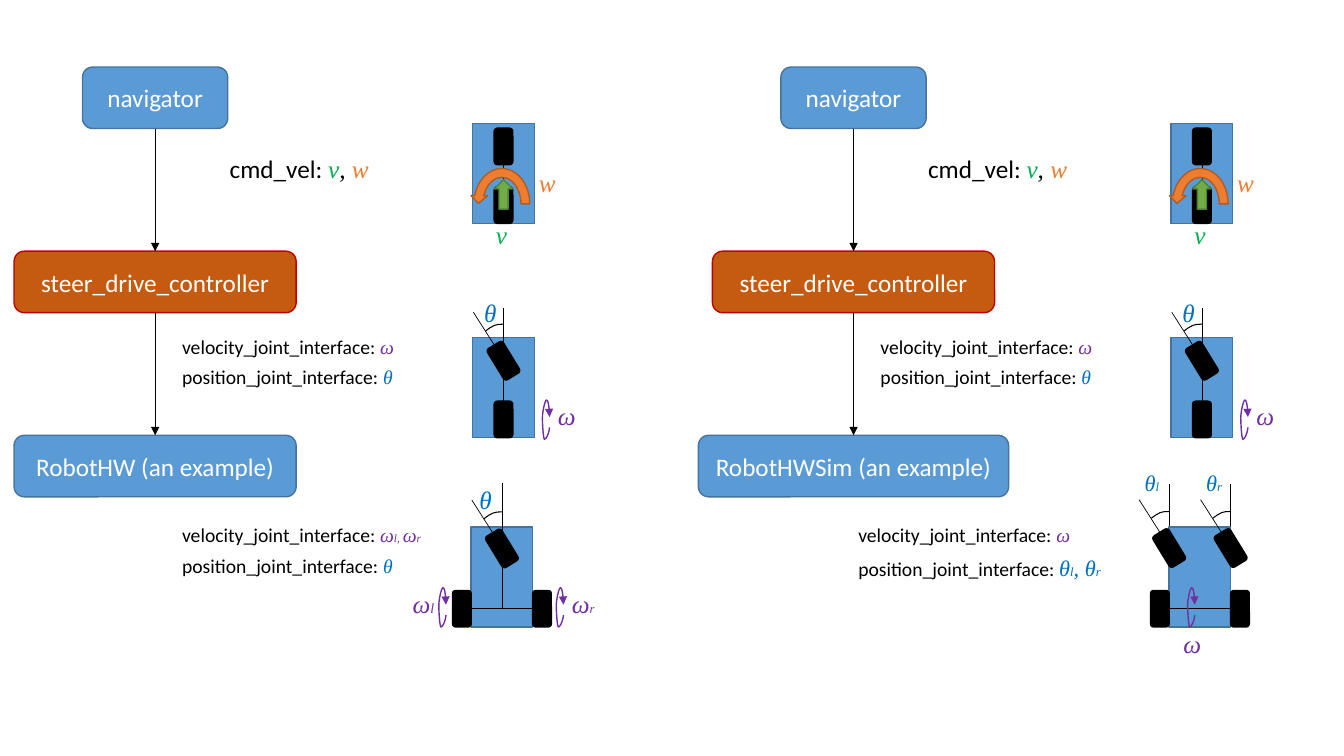
from pptx import Presentation
from pptx.dml.color import RGBColor
from pptx.enum.shapes import MSO_CONNECTOR as Connector, MSO_SHAPE as Preset
from pptx.enum.text import MSO_ANCHOR as Anchor, MSO_AUTO_SIZE as AutoSize, PP_ALIGN as Align
from pptx.oxml.ns import qn
from pptx.util import Cm, Pt
from lxml.etree import SubElement

BLACK, WHITE = RGBColor(0, 0, 0), RGBColor(255, 255, 255)
BLUE, BLUE_EDGE = RGBColor(0x5B, 0x9B, 0xD5), RGBColor(0x43, 0x73, 0x9E)
RUST, RED = RGBColor(0xC5, 0x5A, 0x11), RGBColor(0xC0, 0, 0)
ORANGE, ORANGE_EDGE = RGBColor(0xED, 0x7D, 0x31), RGBColor(0xAF, 0x5C, 0x24)
LEAF, LEAF_EDGE = RGBColor(0x70, 0xAD, 0x47), RGBColor(0x53, 0x81, 0x35)
GREEN, AZURE = RGBColor(0, 0xB0, 0x50), RGBColor(0, 0x70, 0xC0)
PURPLE = RGBColor(0x70, 0x30, 0xA0)
SANS, SERIF = "Calibri", "Times New Roman"

# All layout numbers are centimetres
COLUMN_PITCH = 17.6
STEP_TOP, STEP_PITCH, STEP_HEIGHT, STEP_CENTER = 1.69, 4.64, 1.55, 3.91
BODY_WIDTH, BODY_HEIGHT = 1.55, 2.52
WHEEL_WIDTH, WHEEL_HEIGHT, REAR_OFFSET, AXLE_OFFSET = 0.47, 0.92, 1.6, 2.06
STEER_ANGLE = 328.6

# Bezier outlines: a start point, then control, control, end for each curve
SPIN_CURVES = [(0.18, 0.69),
               (0.16, 0.88), (0.09, 0.99), (0.05, 0.99),
               (0.02, 0.94), (0, 0.61), (0, 0.45),
               (0, 0.28), (0.07, 0), (0.1, 0),
               (0.14, 0), (0.18, 0.2), (0.18, 0.43)]
ANGLE_CURVES = [(0, 0.17),
                (0.07, 0.11), (0.14, 0.07), (0.22, 0.03),
                (0.28, 0), (0.37, 0), (0.45, 0)]


def sans(text, size=14, color=BLACK):
    return text, SANS, size, color, False


def symbol(text, color, size=18):
    return text, SERIF, size, color, True


OMEGA = symbol("ω", PURPLE)
SMALL_OMEGA, SMALL_THETA = symbol("ω", PURPLE, 14), symbol("θ", AZURE, 14)


def write(frame, runs, align=Align.LEFT, anchor=Anchor.TOP, wrap=True):
    frame.word_wrap = wrap
    frame.vertical_anchor = anchor
    paragraph = frame.paragraphs[0]
    paragraph.alignment = align
    for text, font_name, size, color, italic in runs:
        run = paragraph.add_run()
        run.text = text
        run.font.name = font_name
        run.font.size = Pt(size)
        run.font.italic = italic
        run.font.color.rgb = color


def add_text(slide, left, top, width, height, runs, **text_format):
    box = slide.shapes.add_textbox(Cm(left), Cm(top), Cm(width), Cm(height))
    write(box.text_frame, runs, **text_format)
    box.text_frame.auto_size = AutoSize.SHAPE_TO_FIT_TEXT


def add_block(slide, preset, left, top, width, height, fill, edge):
    shape = slide.shapes.add_shape(preset, Cm(left), Cm(top), Cm(width), Cm(height))
    shape.shadow.inherit = False
    shape.fill.solid()
    shape.fill.fore_color.rgb = fill
    shape.line.color.rgb = edge
    shape.line.width = Pt(1)
    return shape


def add_arrowhead(shape):
    SubElement(shape.line._get_or_add_ln(), qn("a:tailEnd"), type="triangle")


def add_line(slide, x1, y1, x2, y2, arrow=False):
    line = slide.shapes.add_connector(Connector.STRAIGHT, Cm(x1), Cm(y1), Cm(x2), Cm(y2))
    line.line.color.rgb = BLACK
    line.line.width = Pt(0.5)
    SubElement(line._element.spPr, qn("a:effectLst"))
    if arrow:
        add_arrowhead(line)


def add_curve(slide, left, top, outline, color, width):
    start, *points = [(Cm(left + x), Cm(top + y)) for x, y in outline]
    builder = slide.shapes.build_freeform(*start)
    builder.add_line_segments(points, close=False)
    curve = builder.convert_to_shape()
    # Join every three straight segments into one Bezier curve
    segments = list(curve._element.spPr.iter(qn("a:lnTo")))
    for index in range(0, len(segments), 3):
        bezier = SubElement(segments[0].getparent(), qn("a:cubicBezTo"))
        for segment in segments[index:index + 3]:
            bezier.append(segment[0])
    for segment in segments:
        segment.getparent().remove(segment)
    curve.shadow.inherit = False
    curve.fill.background()
    curve.line.color.rgb = color
    curve.line.width = Pt(width)
    return curve


# Vehicle parts; center is the middle of the body or of the wheel
def add_body(slide, center, top):
    add_block(slide, Preset.RECTANGLE, center - BODY_WIDTH / 2, top,
              BODY_WIDTH, BODY_HEIGHT, BLUE, BLUE_EDGE)


def add_wheel(slide, center, top, angle=0):
    wheel = add_block(slide, Preset.ROUNDED_RECTANGLE, center - WHEEL_WIDTH / 2, top,
                      WHEEL_WIDTH, WHEEL_HEIGHT, BLACK, BLACK)
    wheel.rotation = angle


def add_steered_wheel(slide, center, top, runs, label=(-0.74, -1.27, 0.8, 1.02)):
    add_wheel(slide, center, top, STEER_ANGLE)
    add_line(slide, center - 0.76, top - 0.76, center - 0.23, top + 0.07)
    add_curve(slide, center - 0.45, top - 0.46, ANGLE_CURVES, BLACK, 0.75)
    dx, dy, width, height = label
    add_text(slide, center + dx, top + dy, width, height, runs)


def add_spin(slide, left, top, runs, dx=0.14, dy=-0.12):
    add_arrowhead(add_curve(slide, left, top, SPIN_CURVES, PURPLE, 1))
    add_text(slide, left + dx, top + dy, 0.97 if len(runs) == 1 else 1.09, 1.02,
             runs, wrap=False)


def add_rear_axle(slide, center, top):
    offset = (BODY_WIDTH + WHEEL_WIDTH) / 2
    for side in (-1, 1):
        add_wheel(slide, center + side * offset, top + REAR_OFFSET)
    axle = top + AXLE_OFFSET
    add_line(slide, center - BODY_WIDTH / 2, axle, center + BODY_WIDTH / 2, axle)


# Vehicles
def draw_command_vehicle(slide, center, top):
    chassis = slide.shapes.add_group_shape()
    add_body(chassis, center, top)
    for offset in (REAR_OFFSET, 0.12):
        add_wheel(chassis, center, top + offset)
    add_line(chassis, center, top + 1.04, center, top + BODY_HEIGHT)
    add_block(slide, Preset.UP_ARROW, center - 0.23, top + 1.42, 0.46, 0.74, LEAF, LEAF_EDGE)
    turn = add_block(slide, Preset.CIRCULAR_ARROW, center - 0.84, top + 1.04, 1.6, 1.98,
                     ORANGE, ORANGE_EDGE)
    for index, value in enumerate((0.14, 11.42, 203.93, 108, 0.13)):
        turn.adjustments[index] = value
    turn._element.spPr.find(qn("a:xfrm")).set("flipH", "1")
    add_text(slide, center + 0.64, top + 0.98, 0.89, 1.02, [symbol("w", ORANGE)])
    add_text(slide, center - 0.44, top + 2.3, 0.84, 1.02, [symbol("v", GREEN)])


def draw_bicycle_vehicle(slide, center, top):
    add_body(slide, center, top)
    add_wheel(slide, center, top + REAR_OFFSET)
    add_line(slide, center, top - 0.76, center, top + BODY_HEIGHT)
    add_steered_wheel(slide, center, top + 0.12, [symbol("θ", AZURE)])
    add_spin(slide, center + 0.98, top + 1.57, [OMEGA])


def draw_hardware_vehicle(slide, center, top):
    add_body(slide, center, top)
    add_rear_axle(slide, center, top)
    add_line(slide, center, top - 1.11, center, top + AXLE_OFFSET)
    add_steered_wheel(slide, center, top + 0.08, [symbol("θ", AZURE)],
                      label=(-0.82, -1.27, 0.8, 1.02))
    add_spin(slide, center + 1.37, top + 1.53, [OMEGA, symbol("r", PURPLE, 9)])
    add_spin(slide, center - 1.59, top + 1.53, [OMEGA, symbol("l", PURPLE, 10)], dx=-0.91)


def draw_simulated_vehicle(slide, center, top):
    sides = [(center - BODY_WIDTH / 2, "l", 0.89), (center + BODY_WIDTH / 2, "r", 1.04)]
    for x, _, _ in sides:
        add_line(slide, x, top - 1.09, x, top + AXLE_OFFSET)
    add_body(slide, center, top)
    add_rear_axle(slide, center, top)
    for x, name, width in sides:
        add_steered_wheel(slide, x, top + 0.07, [symbol("θ", AZURE, 16), symbol(name, AZURE, 9)],
                          label=(-0.87, -1.66, width, 0.94))
    add_spin(slide, center - 0.31, top + 1.53, [OMEGA], dx=-0.36, dy=0.91)


# One column: the chain of steps, its messages and the vehicles
def draw_column(slide, left, robot, robot_width, joints, robot_vehicle):
    center = left + STEP_CENTER
    steps = [("navigator", 3.66, BLUE, BLUE_EDGE),
             ("steer_drive_controller", 7.11, RUST, RED),
             (robot, robot_width, BLUE, BLUE_EDGE)]
    for index, (name, width, fill, edge) in enumerate(steps):
        top = STEP_TOP + index * STEP_PITCH
        step = add_block(slide, Preset.ROUNDED_RECTANGLE, center - width / 2, top,
                         width, STEP_HEIGHT, fill, edge)
        write(step.text_frame, [sans(name, 18, WHITE)], align=Align.CENTER, anchor=Anchor.MIDDLE)
        if index:
            add_line(slide, center, top - STEP_PITCH + STEP_HEIGHT, center, top, arrow=True)

    add_text(slide, left + 5.54, 3.73, 4.42, 1.02,
             [sans("cmd_vel: ", 18), symbol("v", GREEN), symbol(", ", BLACK), symbol("w", ORANGE)])
    command_joints = (4.34, 8.31, (6.07, [SMALL_OMEGA]), (5.97, [SMALL_THETA]))
    for x, top, velocity, position in (command_joints, joints):
        for row, (kind, (width, runs)) in enumerate((("velocity", velocity), ("position", position))):
            add_text(slide, left + x, top + row * 0.77, width, 0.86,
                     [sans(f"{kind}_joint_interface: "), *runs])

    vehicles = [(12.69, 3.11, draw_command_vehicle), (12.69, 8.51, draw_bicycle_vehicle),
                robot_vehicle]
    for middle, top, draw_vehicle in vehicles:
        draw_vehicle(slide, left + middle, top)


def main():
    presentation = Presentation()
    presentation.slide_width, presentation.slide_height = Cm(33.87), Cm(19.05)
    slide = presentation.slides.add_slide(presentation.slide_layouts[6])
    wheel_speeds = [SMALL_OMEGA, symbol("l, ", PURPLE, 8), SMALL_OMEGA, symbol("r", PURPLE, 8)]
    wheel_angles = [symbol("θ", AZURE, 16), symbol("l", AZURE, 9),
                    symbol(", θ", AZURE, 16), symbol("r", AZURE, 9)]
    draw_column(slide, 0, "RobotHW (an example)", 7.11,
                (4.34, 13.06, (6.88, wheel_speeds), (6.22, [SMALL_THETA])),
                (12.65, 13.28, draw_hardware_vehicle))
    draw_column(slide, COLUMN_PITCH, "RobotHWSim (an example)", 7.82,
                (3.78, 13.06, (6.88, [SMALL_OMEGA]), (7.32, wheel_angles)),
                (12.64, 13.28, draw_simulated_vehicle))
    presentation.save("out.pptx")


if __name__ == "__main__":
    main()
